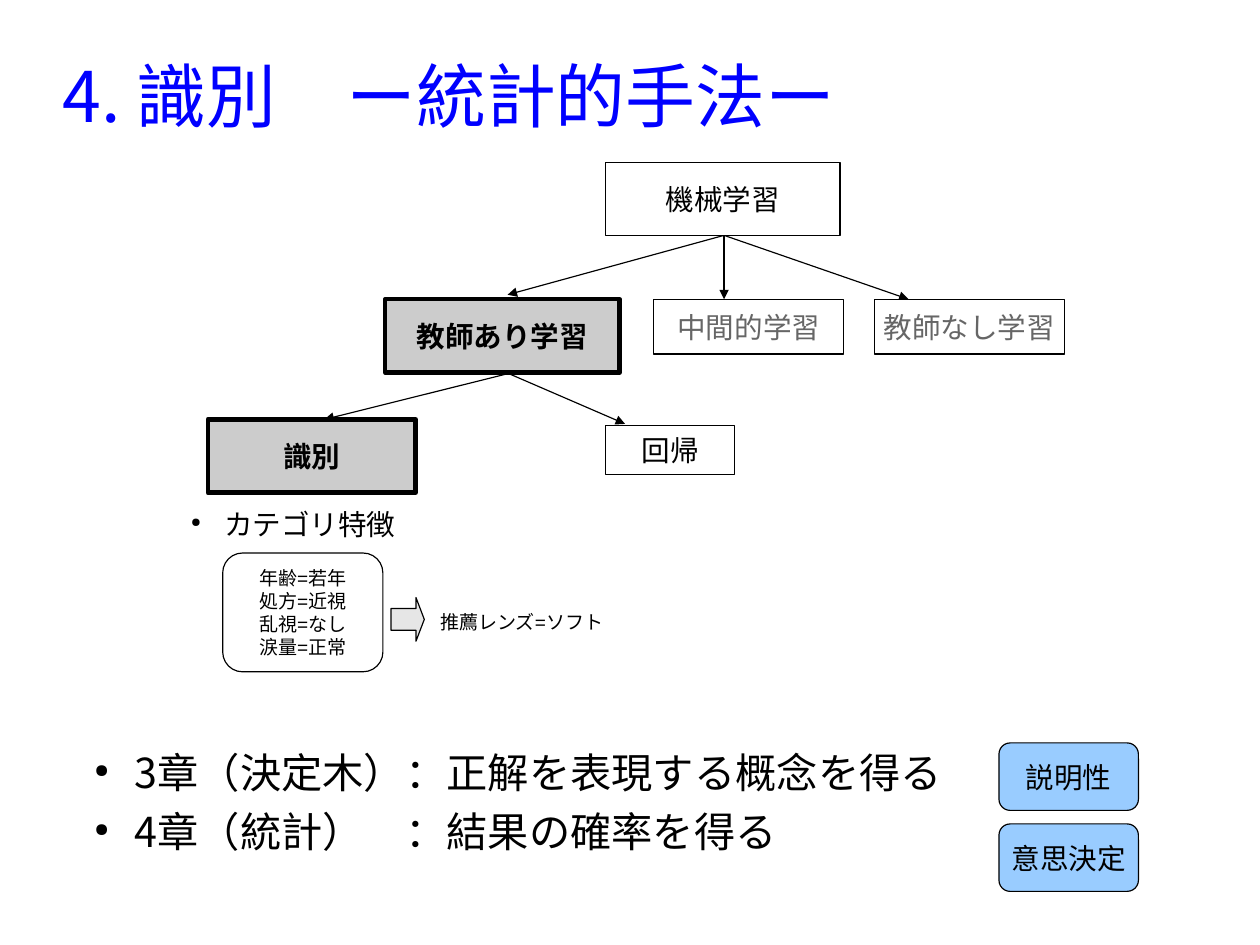
"""Build the slide that places statistical classification within machine learning."""
import lxml.etree
import pptx
import pptx.dml.color
import pptx.enum.shapes
import pptx.enum.text
import pptx.oxml.ns
import pptx.util
from pptx.util import Cm, Pt

BLACK = pptx.dml.color.RGBColor(0x00, 0x00, 0x00)
WHITE = pptx.dml.color.RGBColor(0xFF, 0xFF, 0xFF)
BLUE = pptx.dml.color.RGBColor(0x00, 0x00, 0xFF)
DARK_GRAY = pptx.dml.color.RGBColor(0x66, 0x66, 0x66)
GRAY = pptx.dml.color.RGBColor(0xCC, 0xCC, 0xCC)
LIGHT_GRAY = pptx.dml.color.RGBColor(0xE6, 0xE6, 0xE6)
LIGHT_BLUE = pptx.dml.color.RGBColor(0x99, 0xCC, 0xFF)

JAPANESE = "Noto Sans CJK JP"
LATIN = "Arial"
CENTER = pptx.enum.text.PP_ALIGN.CENTER
LEFT = pptx.enum.text.PP_ALIGN.LEFT
MIDDLE = pptx.enum.text.MSO_ANCHOR.MIDDLE
TOP = pptx.enum.text.MSO_ANCHOR.TOP
RECTANGLE = pptx.enum.shapes.MSO_SHAPE.RECTANGLE
ROUNDED = pptx.enum.shapes.MSO_SHAPE.ROUNDED_RECTANGLE
RIGHT_ARROW = pptx.enum.shapes.MSO_SHAPE.RIGHT_ARROW


def add_element(parent, tag, **attributes):
    return lxml.etree.SubElement(parent, pptx.oxml.ns.qn(tag), attributes)


def add_bullet(paragraph, margin, indent):
    properties = paragraph._p.get_or_add_pPr()
    properties.set("marL", str(margin))
    properties.set("indent", str(indent))
    color = add_element(properties, "a:buClr")
    add_element(color, "a:srgbClr", val=str(BLACK))
    add_element(properties, "a:buSzPct", val="45000")
    add_element(properties, "a:buChar", char="●")


def write_text(shape, text, size=18, font=JAPANESE, color=BLACK, bold=False,
               align=CENTER, anchor=MIDDLE, wrap=False, inset=(0.25, 0.13),
               space_after=0, bullet=None):
    frame = shape.text_frame
    frame.word_wrap = wrap
    frame.auto_size = pptx.enum.text.MSO_AUTO_SIZE.NONE
    frame.vertical_anchor = anchor
    frame.margin_left = frame.margin_right = Cm(inset[0])
    frame.margin_top = frame.margin_bottom = Cm(inset[1])
    frame.text = text
    for paragraph in frame.paragraphs:
        paragraph.alignment = align
        paragraph.space_after = Pt(space_after)
        if bullet:
            add_bullet(paragraph, *bullet)
        for run in paragraph.runs:
            run.font.name = font
            run.font.size = Pt(size)
            run.font.bold = bold
            run.font.color.rgb = color
            add_element(run._r.get_or_add_rPr(), "a:ea", typeface=JAPANESE)


def add_title(slide, text):
    title = slide.shapes.title
    title.left, title.top, title.width, title.height = Cm(1.4), Cm(0.84), Cm(25.2), Cm(2.51)
    write_text(title, text, size=44, color=BLUE, align=LEFT, wrap=True, inset=(0, 0))


def add_box(slide, left, top, width, height, text="", kind=RECTANGLE,
            fill=WHITE, line=0, **text_format):
    shape = slide.shapes.add_shape(kind, Cm(left), Cm(top), Cm(width), Cm(height))
    shape.shadow.inherit = False
    shape.fill.solid()
    shape.fill.fore_color.rgb = fill
    shape.line.color.rgb = BLACK
    shape.line.width = Pt(line)
    if text:
        write_text(shape, text, **text_format)
    return shape


def add_current_topic(slide, left, top, width, text):
    add_box(slide, left, top, width, 1.63, text, fill=GRAY, line=2.83, bold=True)


def add_label(slide, left, top, width, height, text, **text_format):
    label = slide.shapes.add_textbox(Cm(left), Cm(top), Cm(width), Cm(height))
    write_text(label, text, align=LEFT, anchor=TOP, **text_format)


def add_arrow(slide, start, end):
    arrow = slide.shapes.add_connector(
        pptx.enum.shapes.MSO_CONNECTOR.STRAIGHT, *(Cm(value) for value in start + end))
    arrow.line.color.rgb = BLACK
    arrow.line.width = Pt(0.75)
    add_element(arrow.line._get_or_add_ln(), "a:tailEnd", type="triangle")
    add_element(arrow._element.spPr, "a:effectLst")


def add_learning_tree(slide):
    learning_bottom, supervised_bottom = (16.09, 5.23), (11.3, 8.3)
    for tip in ((11.28, 6.55), (16.09, 6.65), (20.19, 6.65)):
        add_arrow(slide, learning_bottom, tip)
    for tip in ((7.21, 9.32), (13.89, 9.42)):
        add_arrow(slide, supervised_bottom, tip)
    add_box(slide, 13.46, 3.61, 5.21, 1.63, "機械学習")
    add_current_topic(slide, 8.56, 6.65, 5.21, "教師あり学習")
    add_current_topic(slide, 4.62, 9.32, 4.62, "識別")
    add_box(slide, 14.53, 6.65, 4.22, 1.22, "中間的学習", color=DARK_GRAY)
    add_box(slide, 19.43, 6.65, 4.22, 1.22, "教師なし学習", color=DARK_GRAY)
    add_box(slide, 13.46, 9.45, 2.87, 1.09, "回帰")


def add_lens_example(slide):
    add_label(slide, 3.99, 11.13, 5.11, 1.1, "カテゴリ特徴", font=LATIN,
              bullet=(Cm(0.74), Cm(-0.74)))
    features = "年齢=若年\n処方=近視\n乱視=なし\n涙量=正常"
    add_box(slide, 4.95, 12.29, 3.56, 2.64, features, kind=ROUNDED, size=12, font=LATIN)
    arrow = add_box(slide, 8.69, 13.28, 0.74, 0.97, kind=RIGHT_ARROW, fill=LIGHT_GRAY)
    arrow.adjustments[1] = 0.25
    add_label(slide, 9.53, 13.44, 4.34, 0.8, "推薦レンズ=ソフト", size=12, font=LATIN)


def add_chapter_comparison(slide):
    chapters = "3章（決定木）：正解を表現する概念を得る\n4章（統計）　：結果の確率を得る"
    add_label(slide, 1.8, 16.61, 25.2, 3.1, chapters, size=26, wrap=True, inset=(0, 0),
              space_after=5.7, bullet=(Cm(1.19), Cm(-0.89)))
    for index, purpose in enumerate(("説明性", "意思決定")):
        add_box(slide, 22.2, 16.51 + 1.8 * index, 3.1, 1.5, purpose, kind=ROUNDED,
                fill=LIGHT_BLUE, font=LATIN)


def main():
    presentation = pptx.Presentation()
    presentation.slide_width, presentation.slide_height = Cm(28), Cm(21)
    slide = presentation.slides.add_slide(presentation.slide_layouts[5])
    add_title(slide, "4. 識別　ー統計的手法ー")
    add_learning_tree(slide)
    add_lens_example(slide)
    add_chapter_comparison(slide)
    presentation.save("out.pptx")


if __name__ == "__main__":
    main()
